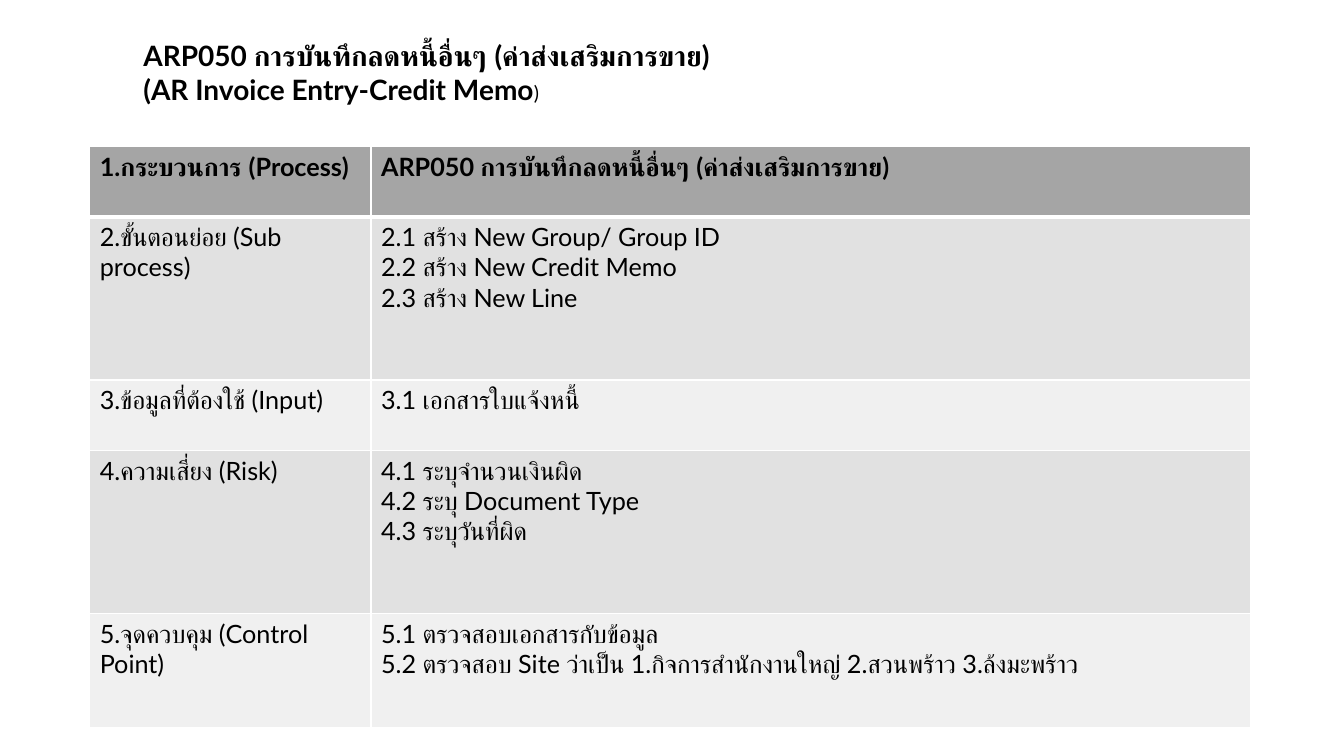
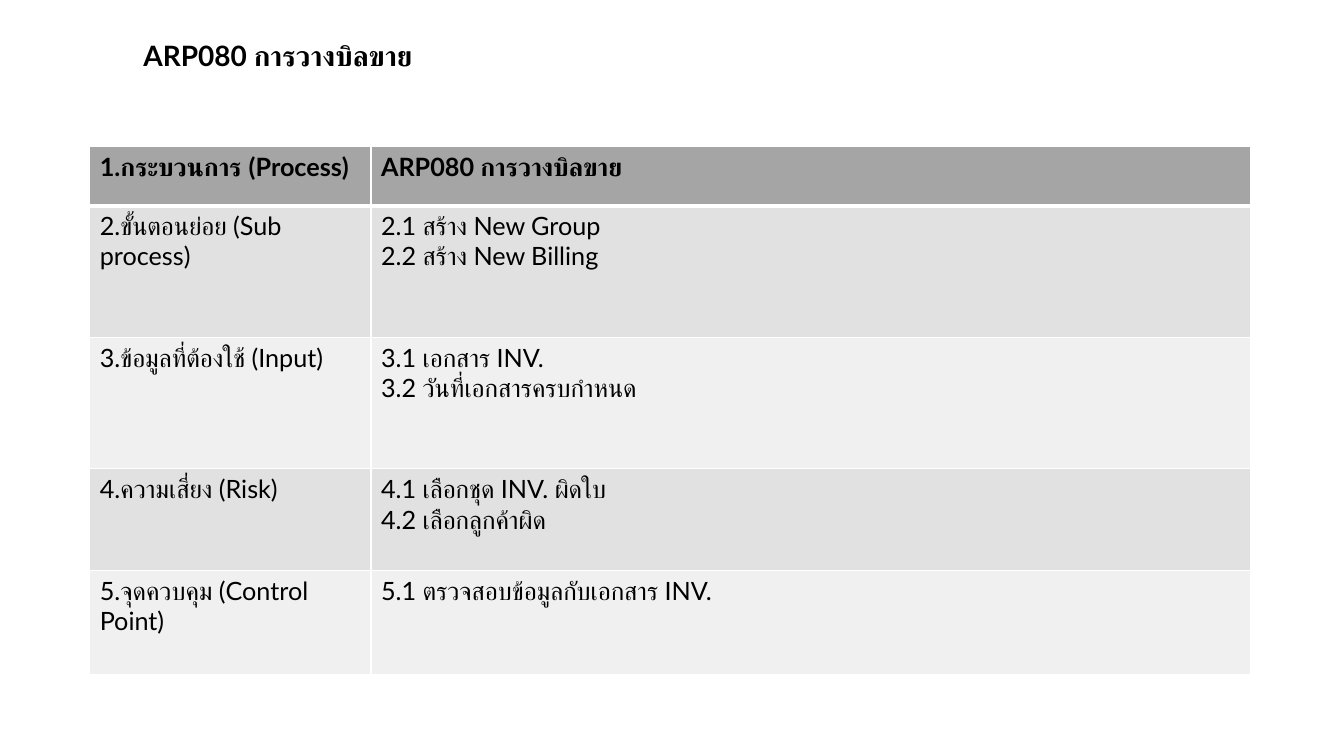
from lxml.etree import SubElement
from pptx import Presentation
from pptx.dml.color import RGBColor
from pptx.oxml.ns import qn
from pptx.util import Pt

FONT = "Lato"
BLACK = RGBColor(0x00, 0x00, 0x00)
WHITE = RGBColor(0xFF, 0xFF, 0xFF)
HEADER_GRAY = RGBColor(0xA5, 0xA5, 0xA5)
BAND_GRAYS = (RGBColor(0xE1, 0xE1, 0xE1), RGBColor(0xF0, 0xF0, 0xF0))

TITLE_BOX = (95.3, 24, 780, 56)
TABLE_LEFT, TABLE_TOP = 64.1, 104.4
COLUMN_WIDTHS = (200.9, 628.6)
ROW_LABELS = (
    "1.กระบวนการ (Process)",
    "2.ขั้นตอนย่อย (Sub process)",
    "3.ข้อมูลที่ต้องใช้ (Input)",
    "4.ความเสี่ยง (Risk)",
    "5.จุดควบคุม (Control Point)",
)

# Each title line is a list of (text, size, bold) runs
PROCESSES = (
    {
        "title": [
            [("ARP050 การบันทึกลดหนี้อื่นๆ (ค่าส่งเสริมการขาย)", 20, True)],
            [("(AR Invoice Entry-Credit Memo", 20, True), (")", 14, False)],
        ],
        "heights": (50.4, 116.6, 50.4, 116.6, 81.4),
        "details": (
            ["ARP050 การบันทึกลดหนี้อื่นๆ (ค่าส่งเสริมการขาย)"],
            ["2.1 สร้าง New Group/ Group ID", "2.2 สร้าง New Credit Memo", "2.3 สร้าง New Line"],
            ["3.1 เอกสารใบแจ้งหนี้"],
            ["4.1 ระบุจำนวนเงินผิด", "4.2 ระบุ Document Type", "4.3 ระบุวันที่ผิด"],
            ["5.1 ตรวจสอบเอกสารกับข้อมูล",
             "5.2 ตรวจสอบ Site ว่าเป็น 1.กิจการสำนักงานใหญ่ 2.สวนพร้าว 3.ล้งมะพร้าว"],
        ),
    },
    {
        "title": [[("ARP080 การวางบิลขาย", 20, True)]],
        "heights": (42.5, 94, 94, 72.5, 74.2),
        "details": (
            ["ARP080 การวางบิลขาย"],
            ["2.1 สร้าง New Group", "2.2 สร้าง New Billing"],
            ["3.1 เอกสาร INV.", "3.2 วันที่เอกสารครบกำหนด"],
            ["4.1 เลือกชุด INV. ผิดใบ", "4.2 เลือกลูกค้าผิด"],
            ["5.1 ตรวจสอบข้อมูลกับเอกสาร INV."],
        ),
    },
)


def add_run(paragraph, text, size, bold):
    run = paragraph.add_run()
    run.text = text
    run.font.name = FONT
    run.font.size = Pt(size)
    run.font.bold = bold
    run.font.color.rgb = BLACK


def add_paragraphs(text_frame, lines):
    """Write one paragraph per line; a line is a list of runs."""
    for index, runs in enumerate(lines):
        paragraph = text_frame.add_paragraph() if index else text_frame.paragraphs[0]
        for text, size, bold in runs:
            add_run(paragraph, text, size, bold)


def set_borders(cell, top, bottom):
    properties = cell._tc.get_or_add_tcPr()
    for side, width in (("L", 1), ("R", 1), ("T", top), ("B", bottom)):
        line = SubElement(properties, qn(f"a:ln{side}"), w=str(Pt(width)))
        fill = SubElement(line, qn("a:solidFill"))
        SubElement(fill, qn("a:srgbClr"), val=str(WHITE))


def add_title(slide, box, lines):
    shape = slide.shapes.add_textbox(*map(Pt, box))
    shape.text_frame.word_wrap = True
    add_paragraphs(shape.text_frame, lines)


def add_process_table(slide, left, top, heights, details):
    shape = slide.shapes.add_table(
        len(heights), len(COLUMN_WIDTHS), Pt(left), Pt(top),
        Pt(sum(COLUMN_WIDTHS)), Pt(sum(heights)))
    table = shape.table
    for column, width in zip(table.columns, COLUMN_WIDTHS):
        column.width = Pt(width)

    for index, (label, lines) in enumerate(zip(ROW_LABELS, details)):
        table.rows[index].height = Pt(heights[index])
        is_header = index == 0
        color = HEADER_GRAY if is_header else BAND_GRAYS[(index - 1) % 2]
        for cell, texts in zip(table.rows[index].cells, ([label], lines)):
            # A thick rule parts the header from the body
            set_borders(cell, 3 if index == 1 else 1, 3 if is_header else 1)
            cell.fill.solid()
            cell.fill.fore_color.rgb = color
            add_paragraphs(cell.text_frame, [[(text, 18, is_header)] for text in texts])


def add_process_slide(presentation, process):
    slide = presentation.slides.add_slide(presentation.slide_layouts[6])
    add_title(slide, TITLE_BOX, process["title"])
    add_process_table(slide, TABLE_LEFT, TABLE_TOP, process["heights"], process["details"])


def main():
    presentation = Presentation()
    presentation.slide_width = Pt(960)
    presentation.slide_height = Pt(540)
    for process in PROCESSES:
        add_process_slide(presentation, process)
    presentation.save("out.pptx")


if __name__ == "__main__":
    main()
